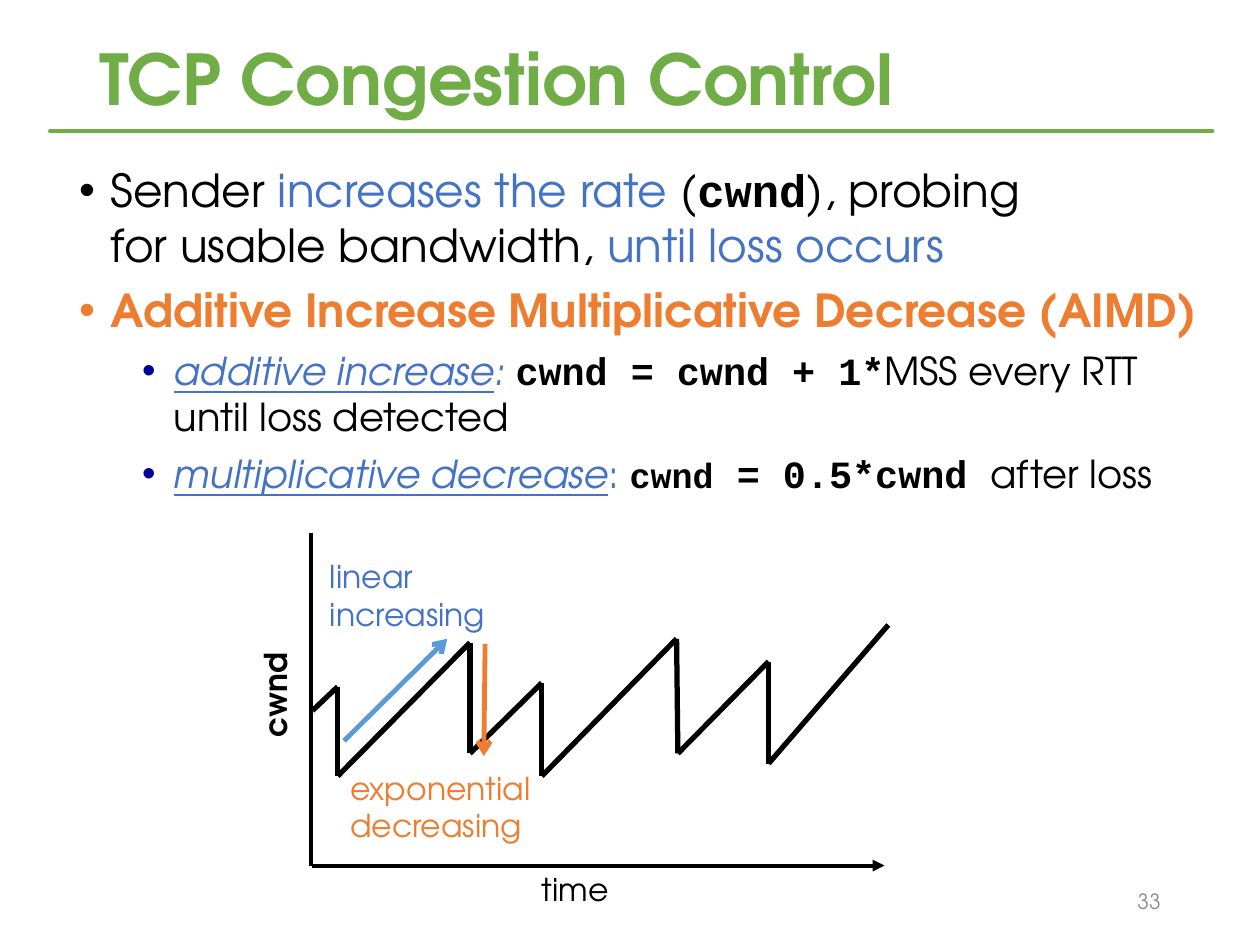
from dataclasses import dataclass
from itertools import pairwise

from lxml.etree import SubElement
from pptx import Presentation
from pptx.dml.color import RGBColor as Rgb
from pptx.enum.shapes import MSO_CONNECTOR as Connector
from pptx.enum.text import MSO_ANCHOR as Anchor, PP_ALIGN as Align
from pptx.oxml.ns import qn
from pptx.util import Pt

PX = 9144


@dataclass(frozen=True)
class Theme:
    """Colours, fonts and type sizes of the slide."""
    green: str = "70AD47"
    blue: str = "4472C4"
    sky: str = "5B9BD5"
    orange: str = "ED7D31"
    navy: str = "000099"
    black: str = "000000"
    white: str = "FFFFFF"
    grey: str = "8C8C8C"
    sans: str = "TeX Gyre Adventor"
    mono: str = "Courier New"
    title: int = 40
    body: int = 26
    detail: int = 22
    code: int = 20
    label: int = 18
    number: int = 12


THEME = Theme()


def style(run, size, color=THEME.black, face=THEME.sans, bold=False, emphasis=False):
    """Format one run; emphasis is "italic", "term" (italic, underlined) or False."""
    font = run.font
    font.size, font.name, font.bold = Pt(size), face, bold
    font.color.rgb = Rgb.from_string(color)
    font.italic = bool(emphasis)
    font.underline = emphasis == "term"


def place(shape, box):
    """Move a shape to a box given in px."""
    shape.left, shape.top, shape.width, shape.height = (v * PX for v in box)


def draw_line(slide, start, end, color, width, head=None, cap=None):
    """Draw a straight line with an optional arrowhead and cap."""
    line = slide.shapes.add_connector(
        Connector.STRAIGHT, *(v * PX for v in (*start, *end)))
    line.line.color.rgb = Rgb.from_string(color)
    line.line.width = Pt(width)
    properties = line.line._get_or_add_ln()
    if cap:
        properties.set("cap", cap)
    if head:
        SubElement(properties, qn("a:tailEnd"), type=head)
    SubElement(line._element.spPr, qn("a:effectLst"))


def add_label(slide, box, text, size, color=THEME.black, bold=False, wrap=False):
    """Place a short single-style text and return its box."""
    label = slide.shapes.add_textbox(*(v * PX for v in box))
    frame = label.text_frame
    frame.word_wrap = wrap
    frame.text = text
    for run in frame.paragraphs[0].runs:
        style(run, size, color, bold=bold)
    return label


def add_heading(slide, box, text):
    """Fill the title placeholder and rule it off below."""
    left, top, width, height = box
    heading = slide.shapes.title
    place(heading, box)
    frame = heading.text_frame
    frame.text = text
    frame.vertical_anchor = Anchor.MIDDLE
    paragraph = frame.paragraphs[0]
    paragraph.alignment = Align.LEFT
    paragraph.line_spacing = 0.9
    style(paragraph.runs[0], THEME.title, THEME.green, bold=True)
    rule_y = top + height + 1
    draw_line(slide, (left - 29, rule_y), (left + width + 31, rule_y),
              THEME.green, 2.75, cap="rnd")


def set_bullet(paragraph, level, color):
    """Give a paragraph its hanging indent and coloured bullet."""
    paragraph.level = level
    paragraph.space_before = Pt(6)
    properties = paragraph._p.get_or_add_pPr()
    properties.set("marL", str((25 + 50 * level) * PX))
    properties.set("indent", str(-25 * PX))
    bullet_color = SubElement(properties, qn("a:buClr"))
    SubElement(bullet_color, qn("a:srgbClr"), val=color)
    SubElement(properties, qn("a:buFont"), typeface="Arial")
    SubElement(properties, qn("a:buChar"), char="•")


def add_points(slide, box, points):
    """Write the bulleted points, each a level, bullet colour and styled pieces."""
    frame = slide.shapes.add_textbox(*(v * PX for v in box)).text_frame
    frame.word_wrap = True
    for index, (level, color, pieces) in enumerate(points):
        paragraph = frame.add_paragraph() if index else frame.paragraphs[0]
        set_bullet(paragraph, level, color)
        for text, *look in pieces:
            if text == "\n":
                paragraph.add_line_break()
                continue
            run = paragraph.add_run()
            run.text = text
            style(run, *look)


def add_window_graph(slide, box):
    """Draw the congestion window sawtooth with its axes and notes."""
    left, top, width, height = box

    def at(x, y):
        return left + x, top + y

    cwnd = add_label(slide, (*at(-73, 108), 88, 40), "cwnd", THEME.label, bold=True)
    cwnd.rotation = 270
    cwnd.fill.solid()
    cwnd.fill.fore_color.rgb = Rgb.from_string(THEME.white)
    draw_line(slide, at(1, height), at(width, height), THEME.black, 2.25, "triangle")
    draw_line(slide, at(0, 0), at(0, height), THEME.black, 2.25)

    sawtooth = [(1, 141), (21, 122), (21, 193), (126, 87), (126, 175), (183, 119),
                (183, 193), (290, 84), (291, 175), (363, 102), (363, 183), (458, 73)]
    for start, end in pairwise(sawtooth):
        draw_line(slide, at(*start), at(*end), THEME.black, 3)

    add_label(slide, (*at(173, 263), 74, 40), "time", THEME.label)
    draw_line(slide, at(26, 165), at(108, 84), THEME.sky, 2.75, "arrow")
    add_label(slide, (*at(5, 14), 146, 71), "linear \vincreasing",
              THEME.label, THEME.blue)
    draw_line(slide, at(138, 88), at(137, 177), THEME.orange, 2.75, "arrow")
    add_label(slide, (*at(21, 182), 173, 71), "exponential \vdecreasing",
              THEME.label, THEME.orange)


def add_page_number(slide, box, number):
    """Set the page number at the right of its box."""
    frame = add_label(slide, box, number, THEME.number, THEME.grey, wrap=True).text_frame
    frame.vertical_anchor = Anchor.MIDDLE
    frame.paragraphs[0].alignment = Align.RIGHT


def main():
    """Build the slide and save it."""
    deck = Presentation()
    deck.slide_width, deck.slide_height = 1000 * PX, 750 * PX
    slide = deck.slides.add_slide(deck.slide_layouts[5])
    t = THEME
    points = [
        (0, t.black, [
            ("Sender ", t.body),
            ("increases the rate ", t.body, t.blue),
            ("(", t.body),
            ("cwnd", t.body, t.black, t.mono, True),
            ("), probing ", t.body),
            ("\n",),
            ("for usable bandwidth, ", t.body),
            ("until loss occurs", t.body, t.blue)]),
        (0, t.orange, [
            ("Additive Increase Multiplicative Decrease (AIMD)",
             t.body, t.orange, t.sans, True)]),
        (1, t.navy, [
            ("additive increase", t.detail, t.blue, t.sans, False, "term"),
            (": ", t.detail, t.blue, t.sans, False, "italic"),
            ("cwnd = cwnd + 1*", t.detail, t.black, t.mono, True),
            ("MSS every RTT until loss detected", t.detail)]),
        (1, t.navy, [
            ("multiplicative decrease", t.detail, t.blue, t.sans, False, "term"),
            (": ", t.detail, t.blue),
            ("cwnd", t.code, t.black, t.mono, True),
            (" = 0.5*cwnd ", t.detail, t.black, t.mono, True),
            ("after loss", t.detail)]),
    ]
    add_heading(slide, (69, 29, 862, 74), "TCP Congestion Control")
    add_points(slide, (53, 124, 908, 601), points)
    add_window_graph(slide, (247, 423, 455, 264))
    add_page_number(slide, (706, 695, 225, 40), "33")
    deck.save("out.pptx")


if __name__ == "__main__":
    main()
